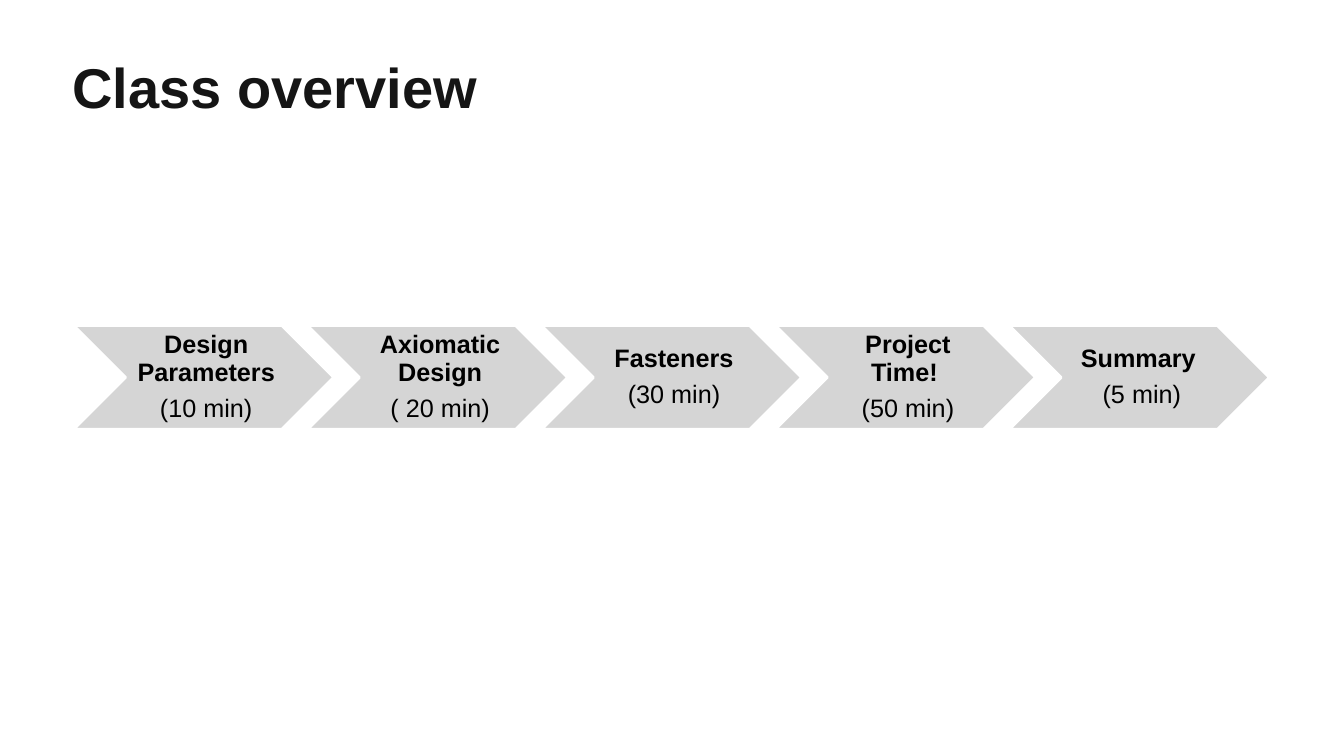
from pptx import Presentation
from pptx.dml.color import RGBColor
from pptx.enum.shapes import MSO_SHAPE
from pptx.enum.text import MSO_ANCHOR, MSO_AUTO_SIZE, PP_ALIGN
from pptx.util import Inches, Pt

CHEVRON = MSO_SHAPE.CHEVRON
TOP, MIDDLE = MSO_ANCHOR.TOP, MSO_ANCHOR.MIDDLE
LEFT, CENTER = PP_ALIGN.LEFT, PP_ALIGN.CENTER
NO_FIT = MSO_AUTO_SIZE.NONE
TITLE_ONLY = 5

STEPS = [
    ("Design Parameters", "(10 min)"),
    ("Axiomatic Design", "( 20 min)"),
    ("Fasteners", "(30 min)"),
    ("Project Time! ", "(50 min)"),
    ("Summary ", "(5 min)"),
]


def rgb(value):
    return RGBColor.from_string(value)


def apply(target, values):
    for name, value in values.items():
        setattr(target, name, value)


class SlideBuilder:
    font = "Arial"
    title_color = "151515"
    text_color = "000000"
    step_fill = "D5D5D5"
    step_line = "FFFFFF"

    def __init__(self, slide):
        self.slide = slide

    def frame(self, tf, anchor, insets):
        sides = ("margin_left", "margin_top", "margin_right", "margin_bottom")
        apply(tf, {"word_wrap": True, "auto_size": NO_FIT, "vertical_anchor": anchor})
        apply(tf, {side: Inches(inset) for side, inset in zip(sides, insets)})

    def paragraph(self, p, text, size, color, bold, **layout):
        apply(p, layout)
        r = p.add_run()
        r.text = text
        apply(r.font, {"name": self.font, "size": Pt(size), "bold": bold})
        r.font.color.rgb = rgb(color)

    def title(self, text, left, top, width, height):
        sp = self.slide.shapes.title
        apply(sp, {"left": Inches(left), "top": Inches(top),
                   "width": Inches(width), "height": Inches(height)})
        tf = sp.text_frame
        self.frame(tf, TOP, (0.06,) * 4)
        self.paragraph(tf.paragraphs[0], text, 40, self.title_color, True,
                       alignment=LEFT, line_spacing=0.8)

    def step(self, group, name, duration, left, top, width, height):
        sp = group.shapes.add_shape(CHEVRON, Inches(left), Inches(top),
                                    Inches(width), Inches(height))
        sp.shadow.inherit = False
        sp.fill.solid()
        sp.fill.fore_color.rgb = rgb(self.step_fill)
        sp.line.color.rgb = rgb(self.step_line)
        sp.line.width = Pt(2)
        tf = sp.text_frame
        self.frame(tf, MIDDLE, (0.08, 0.03, 0.03, 0.03))
        for p, text, bold in ((tf.paragraphs[0], name, True),
                              (tf.add_paragraph(), duration, False)):
            self.paragraph(p, text, 18, self.text_color, bold, alignment=CENTER,
                           line_spacing=0.9, space_after=Pt(6.3))

    def process(self, steps, left, top, width, height, pitch):
        group = self.slide.shapes.add_group_shape()
        for i, (name, duration) in enumerate(steps):
            self.step(group, name, duration, left + i * pitch, top, width, height)


def main():
    prs = Presentation()
    prs.slide_width, prs.slide_height = Inches(13.33), Inches(7.5)
    s = SlideBuilder(prs.slides.add_slide(prs.slide_layouts[TITLE_ONLY]))

    # Title
    s.title("Class overview", 0.66, 0.59, 12.01, 0.78)

    # Class schedule
    s.process(STEPS, left=0.73, top=3.23, width=2.58, height=1.03, pitch=2.32)

    prs.save("out.pptx")


if __name__ == "__main__":
    main()
